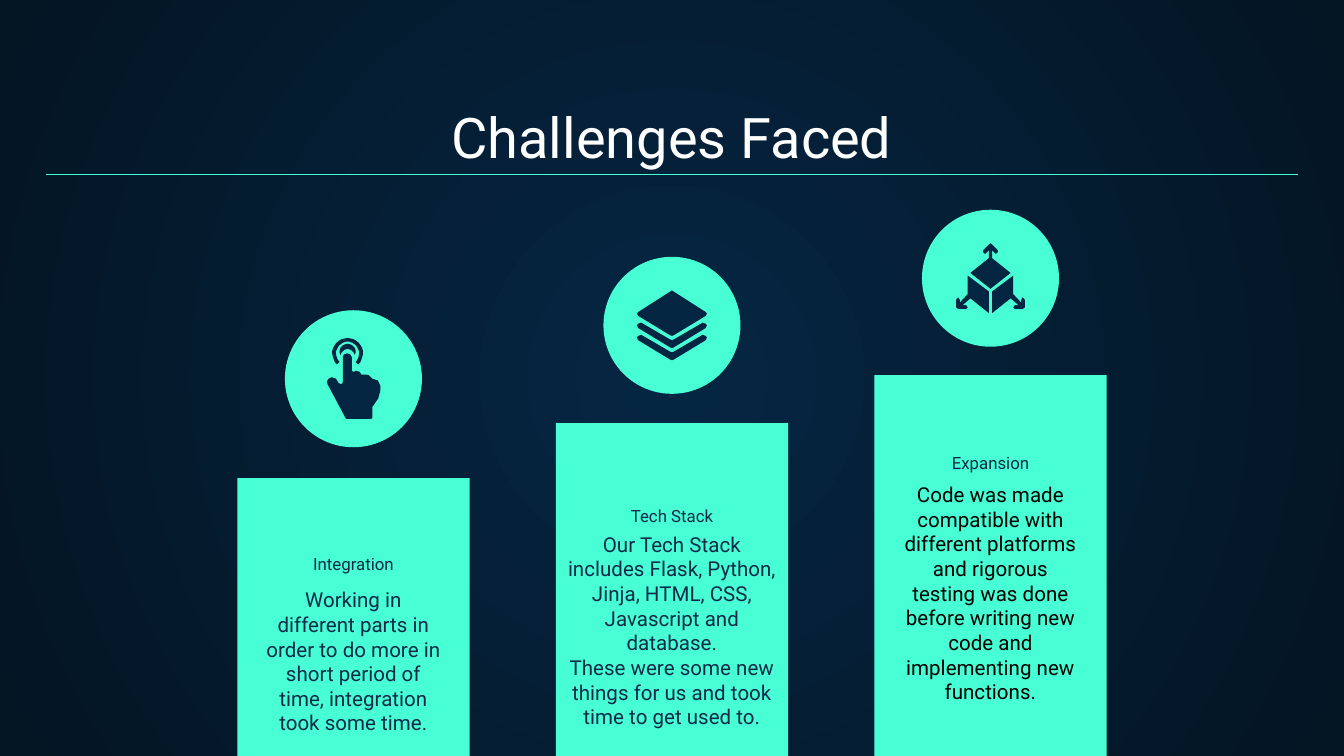
from math import cos, radians, sin

from lxml.etree import SubElement
from pptx import Presentation
from pptx.dml.color import RGBColor
from pptx.enum.shapes import MSO_CONNECTOR as Connector, MSO_SHAPE as Shape
from pptx.enum.text import MSO_ANCHOR as Anchor, PP_ALIGN as Align
from pptx.oxml.ns import qn
from pptx.util import Cm, Pt

MINT, NAVY, NIGHT, INK = "48FFD5", "052643", "041523", "0E2A47"
WHITE, BLACK = "FFFFFF", "000000"


def colour(value):
    return RGBColor.from_string(value)


def mirror(points):
    return [(-x, y) for x, y in points]


def symmetric(half):
    return half + mirror(half[::-1])


def shift(points, dy):
    return [(x, y + dy) for x, y in points]


def arc(cx, cy, radius, start, end, steps=24):
    angles = [radians(start + (end - start) * i / steps) for i in range(steps + 1)]
    return [(cx + radius * cos(a), cy + radius * sin(a)) for a in angles]


class Deck:
    font = "Roboto"
    inset = Cm(0.25)

    def __init__(self, width, height):
        self.file = Presentation()
        self.file.slide_width, self.file.slide_height = Cm(width), Cm(height)
        self.slide = self.file.slides.add_slide(self.file.slide_layouts[6])
        self.shapes = self.slide.shapes

    def background(self, inner, outer):
        fill = self.slide.background.fill
        fill.gradient()
        for stop, value in zip(fill.gradient_stops, (inner, outer)):
            stop.color.rgb = colour(value)
        gradient = next(self.slide._element.iter(qn("a:gradFill")))
        gradient.remove(gradient.find(qn("a:lin")))
        circle = SubElement(gradient, qn("a:path"), path="circle")
        SubElement(circle, qn("a:fillToRect"), dict.fromkeys("ltrb", "50000"))

    def paint(self, shape, fill):
        shape.shadow.inherit = False
        shape.fill.solid()
        shape.fill.fore_color.rgb = colour(fill)
        shape.line.fill.background()

    def block(self, kind, left, top, width, height, fill):
        shape = self.shapes.add_shape(kind, Cm(left), Cm(top), Cm(width), Cm(height))
        self.paint(shape, fill)

    def outline(self, cx, cy, points, fill):
        builder = self.shapes.build_freeform(*points[0], scale=Cm(0.01))
        builder.add_line_segments(points[1:], close=True)
        self.paint(builder.convert_to_shape(Cm(cx), Cm(cy)), fill)

    def rule(self, left, right, y, value, weight):
        line = self.shapes.add_connector(
            Connector.STRAIGHT, Cm(left), Cm(y), Cm(right), Cm(y))
        line.line.color.rgb = colour(value)
        line.line.width = Pt(weight)
        SubElement(line._element.spPr, qn("a:effectLst"))

    def text(self, left, top, width, height, lines, size, value, anchor=Anchor.TOP):
        box = self.shapes.add_textbox(Cm(left), Cm(top), Cm(width), Cm(height))
        frame = box.text_frame
        frame.word_wrap = True
        frame.vertical_anchor = anchor
        frame.margin_left = frame.margin_right = self.inset
        frame.margin_top = frame.margin_bottom = self.inset
        frame.text = "\n".join(lines)
        for paragraph in frame.paragraphs:
            paragraph.alignment = Align.CENTER
            font = paragraph.font
            font.name, font.size = self.font, Pt(size)
            font.color.rgb = colour(value)

    def save(self):
        self.file.save("out.pptx")


HAND = [
    (-12, -48), (-18, -46), (-20, -41), (-20, 5), (-21, 9), (-25, 10), (-28, 8),
    (-33, 0), (-41, -3), (-47, 0), (-50, 5), (-49, 10), (-15, 74), (-13, 76),
    (33, 76), (36, 74), (36, 53), (47, 37), (51, 22), (51, 13), (46, 3), (36, 0),
    (33, -3), (29, -7), (23, -8), (15, -8), (12, -13), (5, -15), (0, -13),
    (-3, -15), (-3, -41), (-6, -46),
]
OUTER_RING = arc(-11, -48, 29, 133, 407) + arc(-11, -48, 22, 407, 133)
INNER_RING = arc(-11, -51, 15, 155, 385) + arc(-11, -43, 13, 345, 195)

TOP_LAYER = symmetric([(0, -66), (3, -64), (64, -25), (66, -22), (64, -18), (3, 19), (0, 20)])
LOW_LAYER = symmetric([(0, 51), (3, 50), (58, 18), (64, 20), (66, 23), (64, 28), (3, 65), (0, 66)])

CUBE_TOP = symmetric([
    (0, -66), (3, -64), (13, -54), (14, -51), (13, -48), (10, -46), (8, -48),
    (3, -53), (3, -38), (38, -10), (0, 20),
])
CUBE_SIDE = [
    (43, -5), (3, 25), (3, 66), (38, 38), (53, 51), (46, 51), (43, 55), (46, 58),
    (61, 58), (65, 55), (65, 41), (61, 36), (58, 41), (58, 46), (43, 30),
]

CHALLENGES = [
    dict(heading="Integration", panel=9.04, icon_y=7.16, heading_top=10.52,
         body_box=(10.85, 3.86, 3.28), ink=INK,
         icon=[OUTER_RING, INNER_RING, HAND],
         body=["Working in different parts in order to do more in short period of time, "
               "integration took some time."]),
    dict(heading="Tech Stack", panel=8, icon_y=6.15, heading_top=9.6,
         body_box=(9.8, 4.55, 2.79), ink=INK,
         icon=[TOP_LAYER, LOW_LAYER, shift(LOW_LAYER, -23)],
         body=["Our Tech Stack includes Flask, Python, Jinja, HTML, CSS, Javascript and database.",
               "These were some new things for us and took time to get used to."]),
    dict(heading="Expansion", panel=7.09, icon_y=5.26, heading_top=8.61,
         body_box=(8.86, 3.86, 4.75), ink=BLACK,
         icon=[CUBE_SIDE, mirror(CUBE_SIDE), CUBE_TOP],
         body=["Code was made compatible with different platforms and rigorous testing was "
               "done before writing new code and implementing new functions."]),
]
FIRST_CENTRE, PITCH = 6.68, 6.02
PANEL_WIDTH, PANEL_BOTTOM = 4.39, 14.37
DISC, HEADING_WIDTH, HEADING_HEIGHT = 2.59, 5.77, 0.53


def main():
    deck = Deck(25.4, 14.29)
    deck.background(NAVY, NIGHT)
    deck.text(0.86, 1.78, 23.67, 1.68, ["Challenges Faced"], 30, WHITE, Anchor.BOTTOM)
    deck.rule(0.86, 24.54, 3.3, MINT, 0.75)
    for column, item in enumerate(CHALLENGES):
        centre = FIRST_CENTRE + column * PITCH
        panel, icon_y = item["panel"], item["icon_y"]
        deck.block(Shape.RECTANGLE, centre - PANEL_WIDTH / 2, panel,
                   PANEL_WIDTH, PANEL_BOTTOM - panel, MINT)
        deck.block(Shape.OVAL, centre - DISC / 2, icon_y - DISC / 2, DISC, DISC, MINT)
        for part in item["icon"]:
            deck.outline(centre, icon_y, part, NAVY)
        deck.text(centre - HEADING_WIDTH / 2, item["heading_top"], HEADING_WIDTH,
                  HEADING_HEIGHT, [item["heading"]], 9, INK, Anchor.BOTTOM)
        top, width, height = item["body_box"]
        deck.text(centre - width / 2, top, width, height, item["body"], 11, item["ink"])
    deck.save()


if __name__ == "__main__":
    main()
